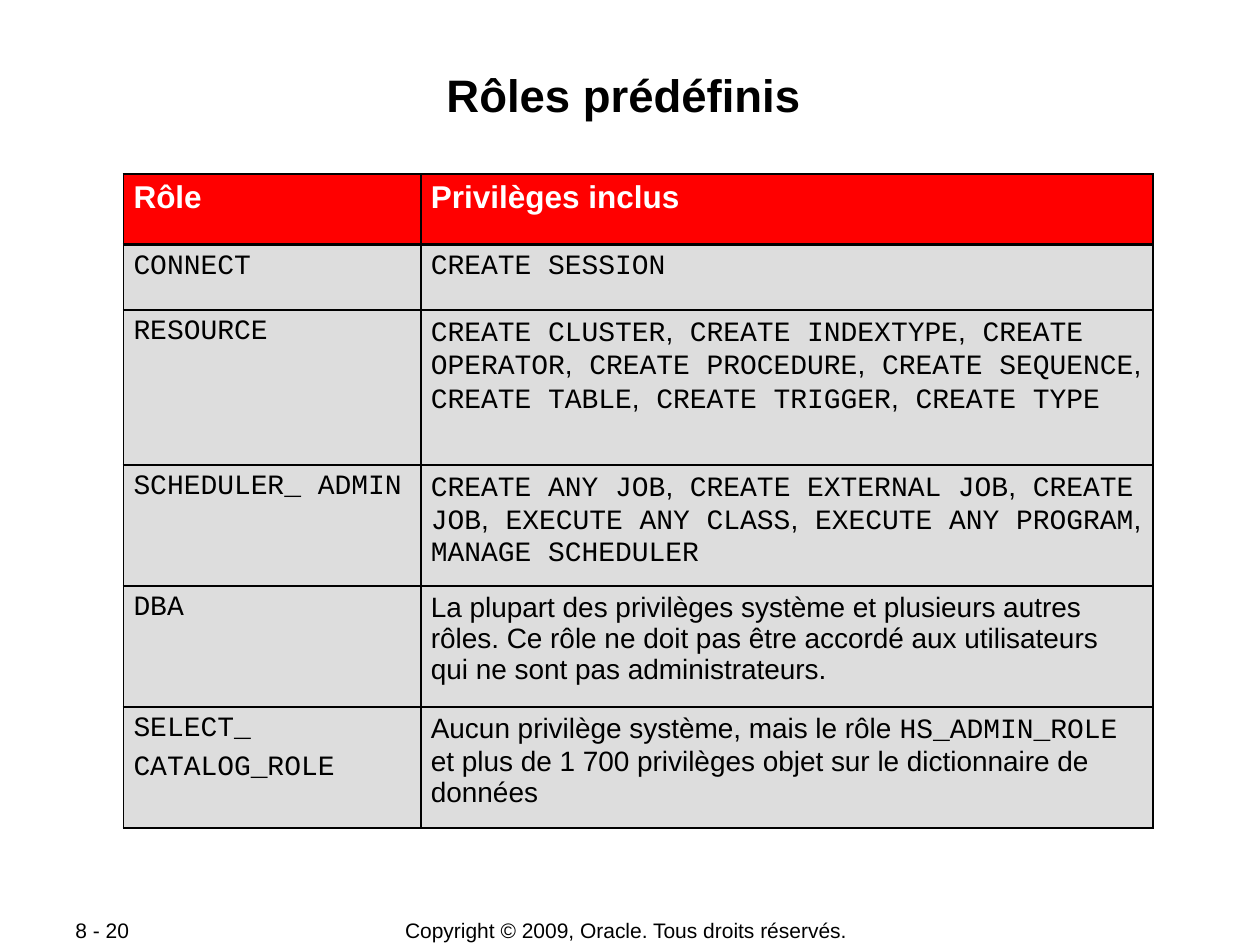
from dataclasses import dataclass
from lxml.etree import SubElement
from pptx import Presentation
from pptx.dml.color import RGBColor
from pptx.enum.text import MSO_ANCHOR, PP_ALIGN
from pptx.oxml.ns import qn
from pptx.util import Inches, Pt


@dataclass(frozen=True)
class Theme:
    sans: str = "Arial"
    mono: str = "Courier New"
    black: str = "000000"
    white: str = "FFFFFF"
    header: str = "FF0000"
    body: str = "DDDDDD"
    title_size: int = 26
    header_size: int = 18
    body_size: int = 16
    footer_size: int = 12
    thin: float = 1.08
    thick: float = 2.21


T = Theme()
W, H = 10, 7.5


def write(tf, text, size=T.body_size, color=T.black, bold=False,
          align=PP_ALIGN.LEFT, space=0):
    """Fill a text frame; a line break starts a paragraph, `backticks` mark code."""
    for i, line in enumerate(text.split("\n")):
        p = tf.paragraphs[0] if i == 0 else tf.add_paragraph()
        p.alignment = align
        p.space_before = Pt(space if i else 0)
        for j, part in enumerate(line.split("`")):
            if not part:
                continue
            r = p.add_run()
            r.text = part
            r.font.name = T.mono if j % 2 else T.sans
            r.font.size = Pt(size)
            r.font.bold = bold
            r.font.color.rgb = RGBColor.from_string(color)


def place(sp, box):
    sp.left, sp.top, sp.width, sp.height = (Inches(v) for v in box)


def set_borders(cell, top, bottom):
    tcPr = cell._tc.get_or_add_tcPr()
    sides = {"L": T.thin, "R": T.thin, "T": top, "B": bottom}
    for i, (side, width) in enumerate(sides.items()):
        ln = SubElement(tcPr, qn(f"a:ln{side}"), w=str(int(Pt(width))))
        fill = SubElement(ln, qn("a:solidFill"))
        SubElement(fill, qn("a:srgbClr"), val=T.black)
        tcPr.insert(i, ln)  # borders come before the fill


def add_title(s, text, box):
    sp = s.shapes.title
    place(sp, box)
    tf = sp.text_frame
    tf.word_wrap = True
    tf.vertical_anchor = MSO_ANCHOR.TOP
    tf.margin_left = tf.margin_right = tf.margin_bottom = Inches(0.01)
    tf.margin_top = Inches(0.05)
    write(tf, text, size=T.title_size, bold=True, align=PP_ALIGN.CENTER)


def add_roles_table(s, rows, box, col_shares, row_shares):
    left, top, width, height = box
    tbl = s.shapes.add_table(len(rows), len(col_shares),
                             *(Inches(v) for v in box)).table
    tbl.horz_banding = False
    for col, share in zip(tbl.columns, col_shares):
        col.width = Inches(width * share / sum(col_shares))
    for row, share in zip(tbl.rows, row_shares):
        row.height = Inches(height * share / sum(row_shares))
    for i, row in enumerate(rows):
        for j, text in enumerate(row):
            cell = tbl.cell(i, j)
            cell.margin_left = cell.margin_right = Inches(0.08)
            cell.margin_top = cell.margin_bottom = Inches(0.05)
            cell.fill.solid()
            cell.fill.fore_color.rgb = RGBColor.from_string(
                T.body if i else T.header)
            set_borders(cell, T.thick if i == 1 else T.thin,
                        T.thin if i else T.thick)
            if i:
                write(cell.text_frame, text, space=4)
            else:
                write(cell.text_frame, text, size=T.header_size,
                      color=T.white, bold=True)


def add_footer(s, text, box, align):
    sp = s.shapes.add_textbox(*(Inches(v) for v in box))
    sp.text_frame.word_wrap = False
    sp.text_frame.vertical_anchor = MSO_ANCHOR.MIDDLE
    write(sp.text_frame, text, size=T.footer_size, align=align)


def code_list(*names):
    """Code words with commas in the text font."""
    return ",".join(f"`{' ' if i else ''}{n}`" for i, n in enumerate(names))


ROLES = [
    ("Rôle", "Privilèges inclus"),
    ("`CONNECT`", "`CREATE SESSION`"),
    ("`RESOURCE`", code_list(
        "CREATE CLUSTER", "CREATE INDEXTYPE", "CREATE OPERATOR",
        "CREATE PROCEDURE", "CREATE SEQUENCE", "CREATE TABLE",
        "CREATE TRIGGER", "CREATE TYPE")),
    ("`SCHEDULER_ ADMIN`", code_list(
        "CREATE ANY JOB", "CREATE EXTERNAL JOB", "CREATE JOB",
        "EXECUTE ANY CLASS", "EXECUTE ANY PROGRAM", "MANAGE SCHEDULER")),
    ("`DBA`", "La plupart des privilèges système et plusieurs autres rôles. "
              "Ce rôle ne doit pas être accordé aux utilisateurs qui ne sont "
              "pas administrateurs."),
    ("`SELECT_`\n`CATALOG_ROLE`",
     "Aucun privilège système, mais le rôle `HS_ADMIN_ROLE` et plus de "
     "1 700 privilèges objet sur le dictionnaire de données"),
]


def main():
    prs = Presentation()
    prs.slide_width, prs.slide_height = Inches(W), Inches(H)
    s = prs.slides.add_slide(prs.slide_layouts[5])  # title only

    # Footer line
    foot = 0.97 * H
    add_footer(s, "Copyright © 2009, Oracle. Tous droits réservés.",
               (2.72, foot, 0.45 * W, 0.21), PP_ALIGN.CENTER)
    add_footer(s, "8 - 20", (0.05 * W, foot, 1.06, 0.21), PP_ALIGN.LEFT)

    # Title and table of roles
    add_title(s, "Rôles prédéfinis", (0.62, 0.48, 8.66, 0.96))
    add_roles_table(s, ROLES, (0.98, 1.38, 8.17, 5.19),
                    col_shares=(2.36, 5.81),
                    row_shares=(0.56, 0.52, 1.23, 0.96, 0.96, 0.96))
    prs.save("out.pptx")


if __name__ == "__main__":
    main()
